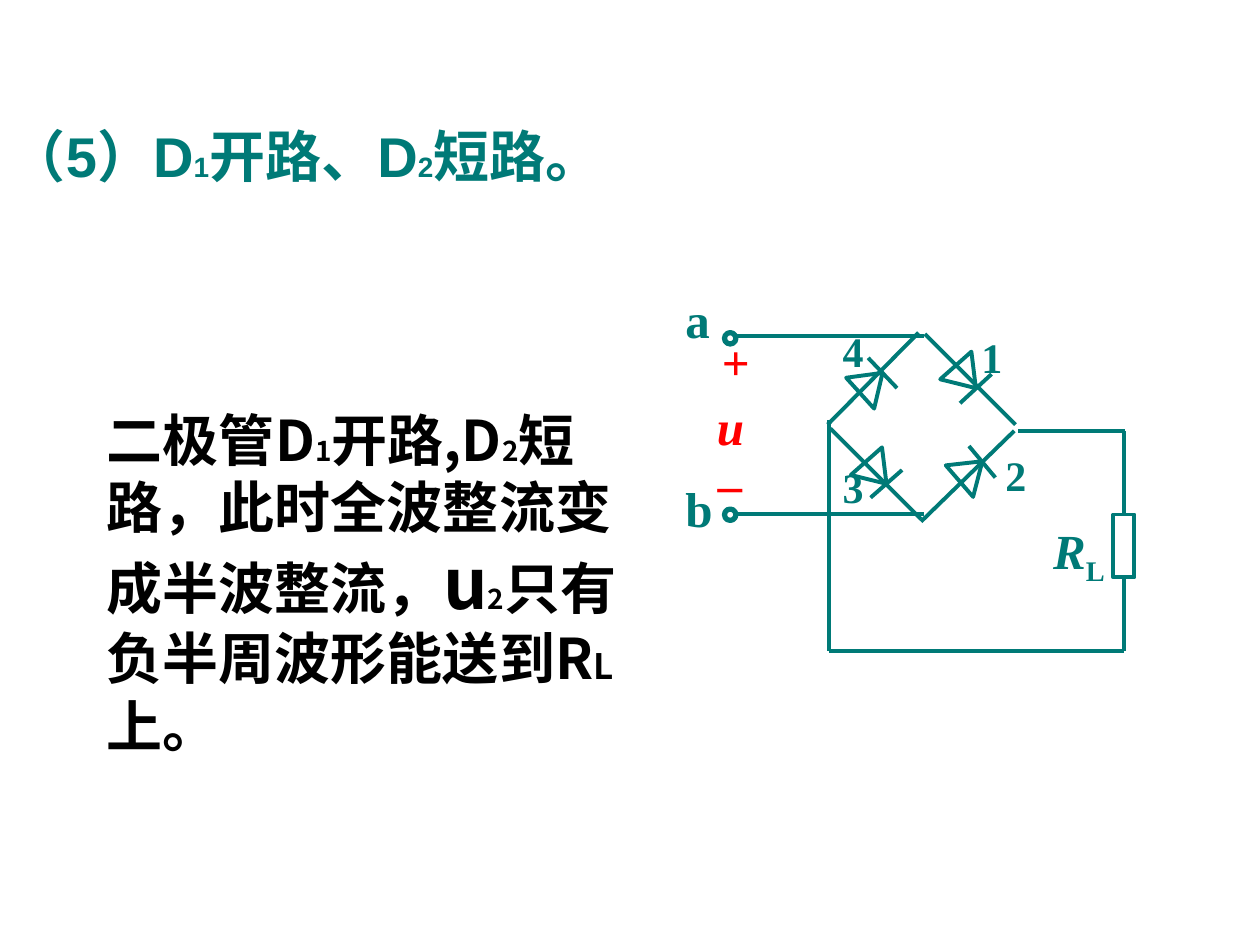
from dataclasses import dataclass

from lxml.etree import SubElement
from pptx import Presentation
from pptx.dml.color import RGBColor
from pptx.enum.shapes import MSO_CONNECTOR, MSO_SHAPE
from pptx.enum.text import MSO_AUTO_SIZE
from pptx.oxml.ns import qn
from pptx.util import Pt


@dataclass(frozen=True)
class Theme:
    teal: RGBColor = RGBColor(0x00, 0x7A, 0x77)
    red: RGBColor = RGBColor(0xFF, 0x00, 0x00)
    black: RGBColor = RGBColor(0x00, 0x00, 0x00)
    serif: str = "Times New Roman"
    sans: str = "Arial"
    chinese: str = "Noto Sans CJK SC"
    text: float = 32
    large: float = 40
    subscript: float = 16
    load_subscript: float = 20
    terminal: float = 28
    number: float = 24
    wire: float = 2.25
    thin: float = 0.75
    ring: float = 3


THEME = Theme()

TITLE = [
    ("（5）D", THEME.text), ("1", THEME.subscript),
    ("开路、D", THEME.text), ("2", THEME.subscript),
    ("短路。", THEME.text),
]
ANSWER = [
    ("二极管D", THEME.text), ("1", THEME.subscript),
    ("开路,D", THEME.text), ("2", THEME.subscript),
    ("短路，此时全波整流变成半波整流，", THEME.text),
    ("u", THEME.large), ("2", THEME.subscript),
    ("只有负半周波形能送到R", THEME.text), ("L", THEME.load_subscript),
    ("上。", THEME.text),
]

LEFT, RIGHT = 473.8, 642.2
TOP, MIDDLE, LOWER, BOTTOM = 192.2, 246.2, 293.8, 372.2
TERMINAL_X, BRIDGE_X = 419.8, 527.8
RESISTOR = (636.2, 294, 12, 36)

WIRES = [
    (BRIDGE_X, TOP, TERMINAL_X, TOP),
    (TERMINAL_X, LOWER, BRIDGE_X, LOWER),
    (LEFT, 239.8, LEFT, BOTTOM),
    (LEFT, BOTTOM, RIGHT, BOTTOM),
    (581.8, MIDDLE, 643, MIDDLE),
    (RIGHT, 330, RIGHT, BOTTOM),
    (RIGHT, MIDDLE, RIGHT, 294),
]
BRIDGE_LINK = (520.6, TOP, 526.3, TOP)

DIODES = [
    dict(number="4", label=(474.5, 182.2), center=(497.9, 218.9), angle=47.8,
         bar=(496.1, 204.5, 512.6, 221.8), arm=(473, 242.6, 524.9, 190.1)),
    dict(number="3", label=(474.5, 259.9), center=(500.8, 270), angle=138.5,
         bar=(515.5, 268.6, 497.5, 284.4), arm=(474.5, 244.8, 526.3, 296.6)),
    dict(number="1", label=(553.7, 185.8), center=(551.9, 215.3), angle=138.5,
         bar=(566.6, 213.8, 548.6, 230.4), arm=(528.5, 190.8, 580.3, 242.6)),
    dict(number="2", label=(567.4, 253.4), center=(554.8, 269.3), angle=49.1,
         bar=(553.7, 254.9, 568.8, 272.9), arm=(526.3, 298.1, 579.6, 246.2)),
]
DIODE_WIDTH, DIODE_HEIGHT = 23.8, 17.3

TERMINALS = [
    ("a", (384.5, 162, 28.1, 41), 190.1),
    ("b", (384.5, 270, 29.5, 41), 290.9),
]
SIGNS = [
    ("u", (402.5, 223.2, 29.5, 41), True),
    ("+", (405.4, 185.8, 30.2, 41), False),
    (" –", (396, 255.6, 35.3, 41), False),
]


def draw_line(slide, ends, width=THEME.wire):
    line = slide.shapes.add_connector(MSO_CONNECTOR.STRAIGHT, *map(Pt, ends))
    line.line.color.rgb = THEME.teal
    line.line.width = Pt(width)
    SubElement(line._element.spPr, qn("a:effectLst"))


def draw_outline(slide, kind, box, width=THEME.wire, angle=0):
    shape = slide.shapes.add_shape(kind, *map(Pt, box))
    shape.shadow.inherit = False
    shape.fill.background()
    shape.line.color.rgb = THEME.teal
    shape.line.width = Pt(width)
    shape.rotation = angle


def write(slide, box, pieces, color, font=THEME.serif, italic=False, wrap=False):
    frame = slide.shapes.add_textbox(*map(Pt, box)).text_frame
    frame.word_wrap = wrap
    frame.auto_size = MSO_AUTO_SIZE.SHAPE_TO_FIT_TEXT
    paragraph = frame.paragraphs[0]
    for text, size in pieces:
        run = paragraph.add_run()
        run.text = text
        run.font.name = font
        run.font.size = Pt(size)
        run.font.bold = True
        run.font.italic = italic
        run.font.color.rgb = color
        SubElement(run.font._element, qn("a:ea")).set("typeface", THEME.chinese)
    return paragraph


def draw_diode(slide, diode):
    x, y = diode["center"]
    draw_line(slide, diode["bar"])
    box = (x - DIODE_WIDTH / 2, y - DIODE_HEIGHT / 2, DIODE_WIDTH, DIODE_HEIGHT)
    draw_outline(slide, MSO_SHAPE.ISOSCELES_TRIANGLE, box, angle=diode["angle"])
    draw_line(slide, diode["arm"])
    write(slide, (*diode["label"], 25.9, 36), [(diode["number"], THEME.number)], THEME.teal)


def main():
    presentation = Presentation()
    presentation.slide_width, presentation.slide_height = Pt(720), Pt(540)
    slide = presentation.slides.add_slide(presentation.slide_layouts[6])

    for diode in DIODES:
        draw_diode(slide, diode)
    for wire in WIRES:
        draw_line(slide, wire)
    draw_line(slide, BRIDGE_LINK, THEME.thin)
    draw_outline(slide, MSO_SHAPE.RECTANGLE, RESISTOR)

    load = write(slide, (594.7, 293.8, 43.9, 45.4),
                 [("R", THEME.terminal), ("L", THEME.terminal)], THEME.teal, italic=True)
    subscript = load.runs[1].font
    subscript.italic = False
    subscript._element.set("baseline", "-25000")

    for name, box, ring_top in TERMINALS:
        write(slide, box, [(name, THEME.terminal)], THEME.teal)
        draw_outline(slide, MSO_SHAPE.OVAL, (414, ring_top, 6.5, 6.5), THEME.ring)
    for sign, box, italic in SIGNS:
        write(slide, box, [(sign, THEME.terminal)], THEME.red, italic=italic)

    write(slide, (-1.4, 66.2, 391, 46.1), TITLE, THEME.teal, THEME.sans)
    write(slide, (54, 228.2, 306, 208.8), ANSWER, THEME.black, THEME.chinese, wrap=True)
    presentation.save("out.pptx")


if __name__ == "__main__":
    main()
